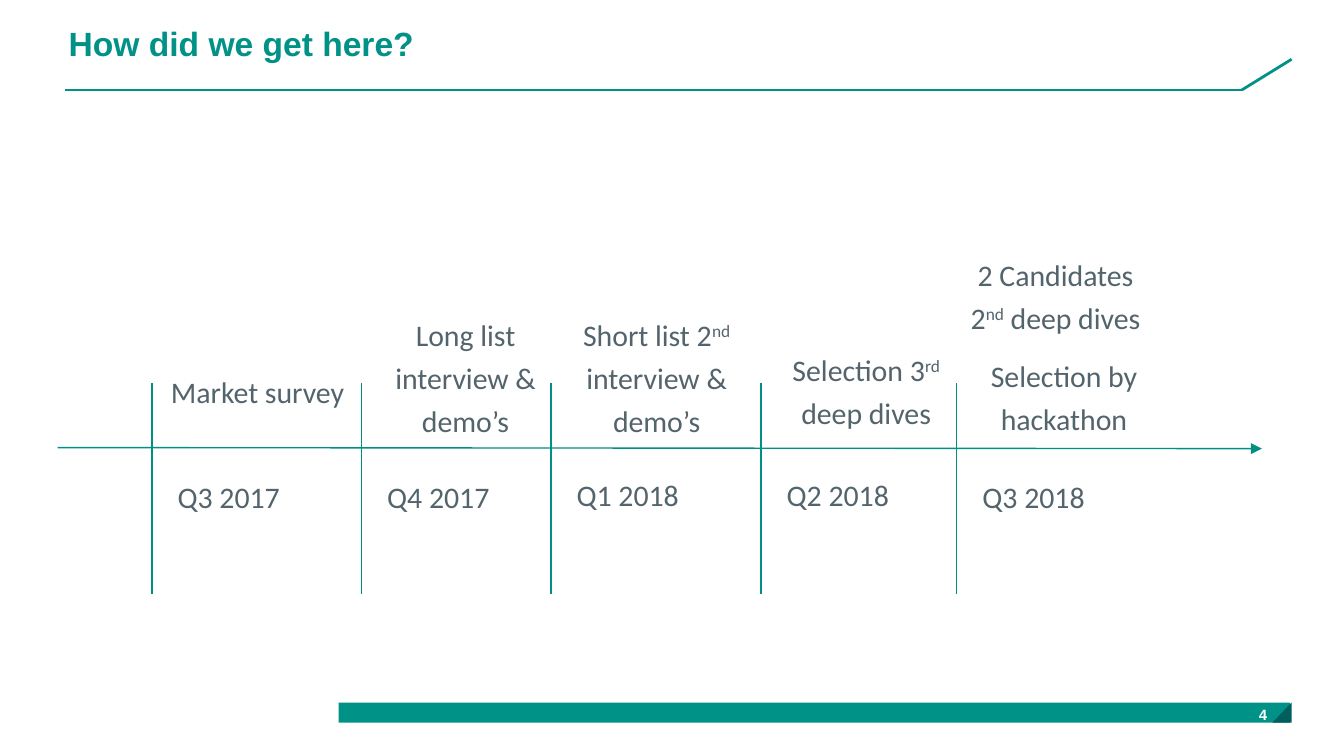
from lxml.etree import SubElement
from pptx import Presentation
from pptx.dml.color import RGBColor
from pptx.enum.shapes import MSO_CONNECTOR, MSO_SHAPE
from pptx.enum.text import MSO_ANCHOR, MSO_AUTO_SIZE, PP_ALIGN
from pptx.oxml.ns import qn
from pptx.util import Cm, Pt

TEAL, DARK, LINE, GREY, WHITE = "009286", "005E5D", "008F83", "54646C", "FFFFFF"


def color(code):
    return RGBColor.from_string(code)


class Deck:
    font = "Calibri"
    size = 16

    def __init__(self, wide, high):
        self.prs = Presentation()
        self.prs.slide_width, self.prs.slide_height = Cm(wide), Cm(high)
        self.slide = self.prs.slides.add_slide(self.prs.slide_layouts[6])

    def shape(self, kind, x, y, w, h, fill, flip=False):
        shape = self.slide.shapes.add_shape(kind, Cm(x), Cm(y), Cm(w), Cm(h))
        shape.shadow.inherit = False
        shape.fill.solid()
        shape.fill.fore_color.rgb = color(fill)
        shape.line.fill.background()
        if flip:
            shape._element.spPr.xfrm.set("flipH", "1")

    def line(self, x1, y1, x2, y2, code=LINE, width=0.75, arrow=False):
        line = self.slide.shapes.add_connector(
            MSO_CONNECTOR.STRAIGHT, Cm(x1), Cm(y1), Cm(x2), Cm(y2))
        line.line.color.rgb = color(code)
        line.line.width = Pt(width)
        if arrow:
            SubElement(line.line._get_or_add_ln(), qn("a:tailEnd"), type="triangle")
        SubElement(line._element.spPr, qn("a:effectLst"))

    def box(self, x, y, w, h):
        frame = self.slide.shapes.add_textbox(Cm(x), Cm(y), Cm(w), Cm(h)).text_frame
        frame.word_wrap = True
        return frame

    def style(self, run, font, size, code, bold=False):
        run.font.name, run.font.size, run.font.bold = font, Pt(size), bold
        run.font.color.rgb = color(code)

    def head(self, text, x, y, w, h, size, code, space, align, anchor):
        """Bold text in a box without margins."""
        frame = self.box(x, y, w, h)
        frame.margin_left = frame.margin_right = 0
        frame.margin_top = frame.margin_bottom = 0
        frame.vertical_anchor = anchor
        frame.text = text
        para = frame.paragraphs[0]
        para.alignment, para.line_spacing = align, Pt(space)
        self.style(para.runs[0], "Arial", size, code, True)

    def label(self, text, x, y, w, h):
        """Centred text; parts between ^ marks are raised."""
        frame = self.box(x, y, w, h)
        frame.auto_size = MSO_AUTO_SIZE.SHAPE_TO_FIT_TEXT
        para = frame.paragraphs[0]
        para.alignment = PP_ALIGN.CENTER
        para.line_spacing, para.space_after = 1.2, Pt(6)
        for i, part in enumerate(text.split("^")):
            run = para.add_run()
            run.text = part
            self.style(run, self.font, self.size, GREY)
            if i % 2:
                run._r.get_or_add_rPr().set("baseline", "30000")


def main():
    deck = Deck(25.4, 14.29)

    # Footer bar and page number
    deck.shape(MSO_SHAPE.RECTANGLE, 6.4, 13.28, 17.98, 0.38, TEAL)
    deck.shape(MSO_SHAPE.RIGHT_TRIANGLE, 24.05, 13.28, 0.36, 0.38, DARK, flip=True)
    deck.head("4", 22.15, 13.28, 1.8, 0.38, 8, WHITE, 11.1,
              PP_ALIGN.RIGHT, MSO_ANCHOR.TOP)

    # Title and its rule
    deck.line(1.22, 1.7, 23.47, 1.7, TEAL, 1.5)
    deck.line(23.47, 1.7, 24.41, 1.12, TEAL, 1.5)
    deck.head("How did we get here?", 1.3, 0.13, 23.11, 1.42, 18, TEAL, 20,
              PP_ALIGN.LEFT, MSO_ANCHOR.MIDDLE)

    # Time axis
    deck.line(1.09, 8.46, 23.85, 8.48, arrow=True)

    # Quarters: mark, name and top of the name
    for x, name, y in [(2.87, "Q3 2017", 8.79), (6.83, "Q4 2017", 8.79),
                       (10.41, "Q1 2018", 8.76), (14.38, "Q2 2018", 8.76),
                       (18.08, "Q3 2018", 8.79)]:
        deck.line(x, 7.24, x, 11.23)
        deck.label(name, x + 0.02, y, 2.87, 1.02)

    # Events above the axis
    for text, x, y, h in [
            ("Market survey", 2.9, 6.81, 1.07),
            ("Long list interview & demo’s", 6.83, 5.72, 2.72),
            ("Short list 2^nd^ interview & demo’s", 10.44, 5.72, 2.72),
            ("Selection 3^rd^ deep dives", 14.4, 6.38, 1.9),
            ("2 Candidates 2^nd^ deep dives", 17.98, 4.6, 1.85),
            ("Selection by hackathon", 18.14, 6.5, 1.85)]:
        deck.label(text, x, y, 3.94, h)

    deck.prs.save("out.pptx")


if __name__ == "__main__":
    main()
